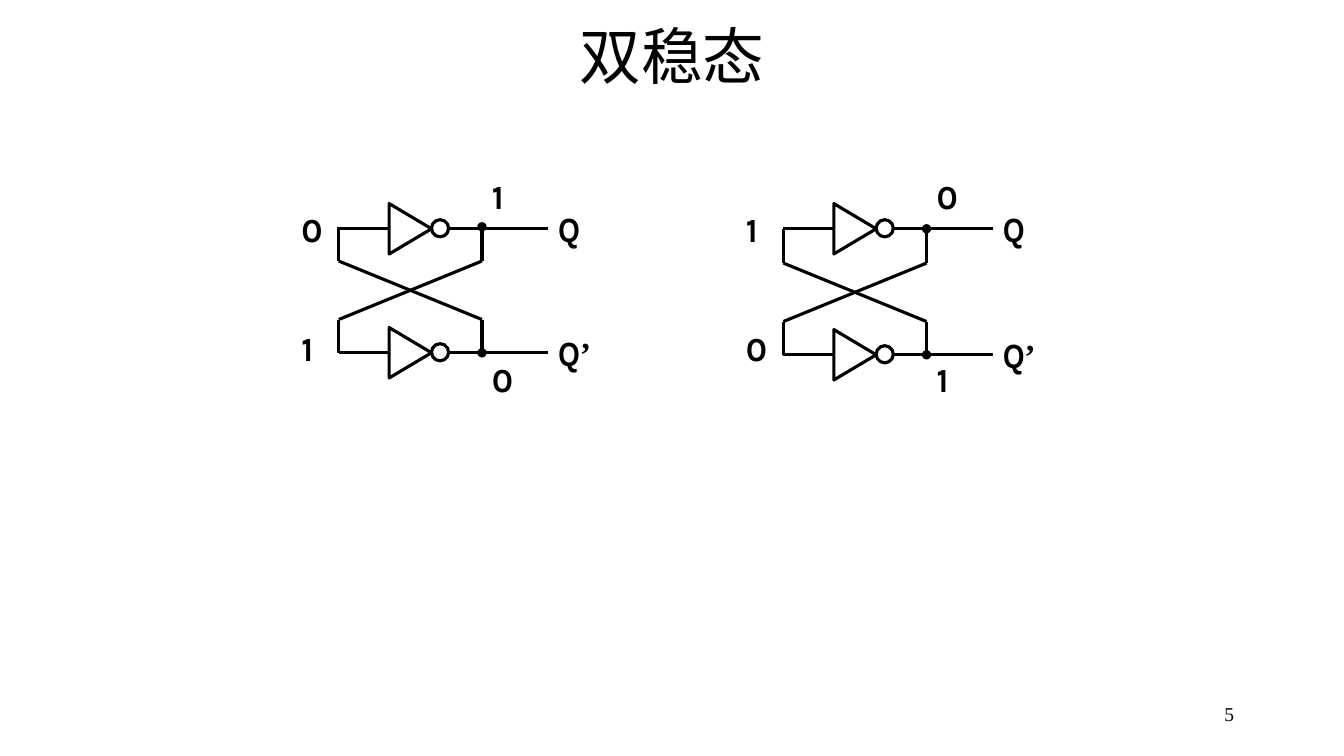
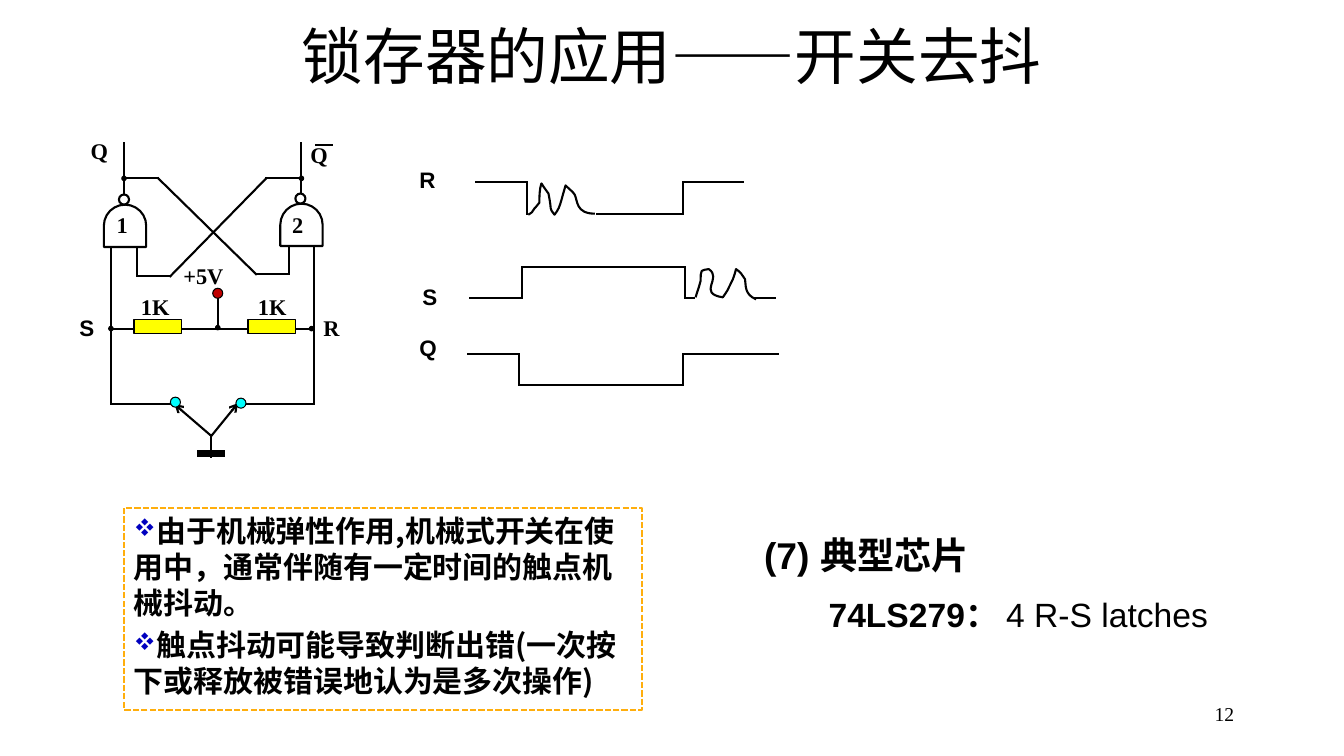
"""Builds two slides on bistable circuits and switch debouncing with latches."""
import itertools

import lxml.etree
import pptx
import pptx.dml.color
import pptx.enum.dml
import pptx.enum.shapes
import pptx.enum.text
import pptx.oxml.ns
import pptx.util

Inches = pptx.util.Inches
Pt = pptx.util.Pt
Color = pptx.dml.color.RGBColor.from_string
qn = pptx.oxml.ns.qn
Shape = pptx.enum.shapes.MSO_SHAPE
Align = pptx.enum.text.PP_ALIGN
AutoSize = pptx.enum.text.MSO_AUTO_SIZE

THEME = {
    "ink": "000000", "paper": "FFFFFF", "resistor": "FFFF00", "contact": "00FFFF",
    "supply": "C00000", "frame": "FFAE0D", "bullet": "0000BF",
    "cjk": "Noto Sans CJK SC", "serif": "Times New Roman", "sans": "Arial",
    "narrow": "Arial Narrow", "digit": "Karla",
    "title": 44, "state": 24, "chip": 26.6, "note": 21.4, "label": 16, "number": 14,
    "thick": {"weight": 2.25, "cap": "flat", "dot": "med"}, "thin": 1.5,
}
THICK = THEME["thick"]


def label(page, text, place, font="serif", size="label", bold=True, align=None,
          wrap=True, middle=False, gap=0, bullet=False):
    """Add a text box with one paragraph per line of text."""
    box = page.shapes.add_textbox(*map(Inches, place))
    frame = box.text_frame
    frame.word_wrap = wrap
    frame.auto_size = AutoSize.NONE if middle else AutoSize.SHAPE_TO_FIT_TEXT
    if middle:
        frame.vertical_anchor = pptx.enum.text.MSO_ANCHOR.MIDDLE
    for index, line in enumerate(text.split("\n")):
        para = frame.add_paragraph() if index else frame.paragraphs[0]
        para.add_run().text = line
        properties = para._p.get_or_add_pPr()
        if bullet:
            tint = lxml.etree.SubElement(properties, qn("a:buClr"))
            lxml.etree.SubElement(tint, qn("a:srgbClr"), val=THEME["bullet"])
            lxml.etree.SubElement(properties, qn("a:buSzPct"), val="82000")
            lxml.etree.SubElement(properties, qn("a:buFont"), typeface="Wingdings", charset="2")
            lxml.etree.SubElement(properties, qn("a:buChar"), char="v")
        para.alignment = align
        if index:
            para.space_before = Pt(gap)
        para.font.size = Pt(THEME[size])
        para.font.bold = bold
        para.font.color.rgb = Color(THEME["ink"])
        para.font.name = THEME[font]
        lxml.etree.SubElement(properties.find(qn("a:defRPr")), qn("a:ea"), typeface=THEME["cjk"])
    return box


def wire(page, points, head=None, tail=None, weight=THEME["thin"], cap="sq", dot="sm"):
    """Join the points with straight connectors and return the last one."""
    pairs = list(itertools.pairwise(points))
    for index, (start, end) in enumerate(pairs):
        line = page.shapes.add_connector(
            pptx.enum.shapes.MSO_CONNECTOR.STRAIGHT, *map(Inches, (*start, *end)))
        line.line.color.rgb = Color(THEME["ink"])
        line.line.width = Pt(weight)
        properties = line._element.spPr
        outline = properties.find(qn("a:ln"))
        outline.set("cap", cap)
        for tag, mark, position in (("a:headEnd", head, 0), ("a:tailEnd", tail, len(pairs) - 1)):
            if mark and index == position:
                extent = dot if mark == "oval" else "med"
                lxml.etree.SubElement(outline, qn(tag), type=mark, w=extent, len=extent)
        lxml.etree.SubElement(properties, qn("a:effectLst"))
    return line


deck = pptx.Presentation()
deck.slide_width = Inches(13.33)
deck.slide_height = Inches(7.5)

pages = []
for title, number in (("双稳态", "5"), ("锁存器的应用——开关去抖", "12")):
    page = deck.slides.add_slide(deck.slide_layouts[6])
    label(page, title, (1, 0.26, 11.33, 0.57), "cjk", "title", False, Align.CENTER, middle=True)
    label(page, number, (9.56, 6.83, 2.78, 0.5), "serif", "number", False, Align.RIGHT, middle=True)
    pages.append(page)
bistable, debounce = pages

symbols = []
latches = ((3.36, 2.25, 3.5, "0", "1"), (7.77, 2.27, 3.52, "1", "0"))
for left, tap, low, first, second in latches:
    right = left + 1.42
    for level, name in ((2.27, "Q"), (low, "Q’")):
        symbols += [
            (bistable, Shape.ISOSCELES_TRIANGLE, (left + 0.46, level - 0.21, 0.5, 0.42), 90,
             None, THICK["weight"]),
            (bistable, Shape.OVAL, (left + 0.92, level - 0.09, 0.17, 0.17), 0,
             None, THICK["weight"]),
        ]
        wire(bistable, [(left, level), (left + 0.5, level)], **THICK)
        output = label(bistable, "Q", (left + 2.08, level - 0.25, 0.41 if name == "Q" else 0.53, 0.5),
                       "narrow", "state", wrap=False)
        if name != "Q":
            prime = output.text_frame.paragraphs[0].add_run()
            prime.text = "’"
            prime.font.name = THEME["serif"]
        lead = wire(bistable, [(left + 1.08, level), (left + 2.08, level)], **THICK)
        lead.end_connect(output, 1)
    upper, lower = tap + 0.34, low - 0.33
    wire(bistable, [(right, tap), (right, upper), (left, lower), (left, low)], "oval", **THICK)
    wire(bistable, [(right, low), (right, lower), (left, upper), (left, tap)], "oval", **THICK)
    for state, x, y in ((first, left - 0.47, 2.02), (second, left - 0.47, 3.2),
                        (second, right, 1.7), (first, right, 3.51)):
        label(bistable, state, (x, y, 0.41, 0.5), "digit", "state", wrap=False)

circuit = (
    ([(1.1, 2.43), (1.1, 4.01), (1.69, 4.01)], None, None),
    ([(3.11, 2.43), (3.11, 4.01), (2.36, 4.01)], None, None),
    ([(1.36, 2.24), (1.36, 2.74), (1.69, 2.74), (2.64, 1.77), (2.99, 1.77)], None, "oval"),
    ([(1.23, 1.77), (1.57, 1.77), (2.54, 2.72), (2.87, 2.72), (2.87, 2.21)], "oval", None),
    ([(1.23, 1.92), (1.23, 1.42)], None, None),
    ([(2.99, 1.92), (2.99, 1.42)], None, None),
    ([(3.13, 1.44), (3.29, 1.44)], None, None),
    ([(2.16, 3.25), (2.16, 2.93)], "oval", None),
    ([(3.09, 3.26), (1.1, 3.26)], "oval", "oval"),
    ([(2.09, 4.32), (2.09, 4.53)], None, None),
    ([(2.1, 4.32), (2.36, 4)], None, "arrow"),
    ([(2.09, 4.32), (1.73, 4.01)], None, "arrow"),
)
signals = (
    [(4.72, 1.81), (5.23, 1.81), (5.23, 2.12)],
    [(5.92, 2.12), (6.77, 2.12), (6.77, 1.81), (7.37, 1.81)],
    [(4.66, 2.96), (5.18, 2.96), (5.18, 2.65), (6.54, 2.65)],
    [(6.28, 2.65), (6.79, 2.65), (6.79, 2.96), (6.88, 2.96)],
    [(7.48, 2.96), (7.69, 2.96)],
    [(4.64, 3.51), (5.15, 3.51), (5.15, 3.82), (6.52, 3.82)],
    [(6.26, 3.82), (6.77, 3.82), (6.77, 3.51), (7.72, 3.51)],
    [(6.69, 3.82), (6.77, 3.82)],
)
for points, head, tail in circuit:
    wire(debounce, points, head, tail)
for points in signals:
    wire(debounce, points)
wire(debounce, [(1.99, 4.5), (2.2, 4.5)], weight=4.5)

bounces = (
    ((5.24, 2.13), (
        (5.29, 2.1, 5.27, 2.11, 5.3, 2.07), (5.32, 2.05, 5.35, 2.01, 5.35, 2.01),
        (5.35, 1.95, 5.35, 1.88, 5.37, 1.82), (5.37, 1.81, 5.38, 1.84, 5.39, 1.85),
        (5.42, 1.88, 5.41, 1.89, 5.44, 1.92), (5.48, 2.11, 5.44, 2.05, 5.5, 2.13),
        (5.54, 2.08, 5.55, 2.05, 5.57, 1.98), (5.58, 1.94, 5.61, 1.84, 5.61, 1.84),
        (5.64, 1.87, 5.68, 1.9, 5.7, 1.93), (5.73, 1.99, 5.71, 2.12, 5.9, 2.12))),
    ((6.9, 2.95), (
        (6.91, 2.91, 6.93, 2.86, 6.94, 2.82), (6.96, 2.78, 6.94, 2.73, 6.96, 2.69),
        (6.97, 2.68, 7.01, 2.67, 7.03, 2.67), (7.17, 2.76, 6.91, 2.91, 7.17, 2.95),
        (7.23, 2.86, 7.2, 2.91, 7.25, 2.81), (7.28, 2.76, 7.3, 2.67, 7.3, 2.67),
        (7.35, 2.7, 7.36, 2.73, 7.39, 2.77), (7.4, 2.83, 7.38, 2.92, 7.5, 2.97))),
)
for start, curves in bounces:
    builder = debounce.shapes.build_freeform(*map(Inches, start))
    builder.add_line_segments([tuple(map(Inches, curve[4:])) for curve in curves], close=False)
    bounce = builder.convert_to_shape()
    segments = list(bounce._element.iter(qn("a:lnTo")))
    for segment, curve in zip(segments, curves):
        bend = lxml.etree.Element(qn("a:cubicBezTo"))
        for x, y in zip(curve[::2], curve[1::2]):
            lxml.etree.SubElement(bend, qn("a:pt"), x=str(Inches(x) - bounce.left),
                                  y=str(Inches(y) - bounce.top))
        segment.getparent().replace(segment, bend)
    bounce.shadow.inherit = False
    bounce.fill.background()
    bounce.line.color.rgb = Color(THEME["ink"])
    bounce.line.width = Pt(THEME["thin"])

for x, y in ((1.03, 2.03), (2.78, 2.02)):
    symbols += [
        (debounce, Shape.FLOWCHART_DELAY, (x, y, 0.42, 0.42), 270, "paper", THEME["thin"]),
        (debounce, Shape.OVAL, (x + 0.15, y - 0.1, 0.1, 0.1), 0, "paper", THEME["thin"]),
    ]
for x in (1.33, 2.46):
    symbols.append((debounce, Shape.RECTANGLE, (x, 3.17, 0.47, 0.14), 0, "resistor", 1))
for x, y, fill in ((1.69, 3.94, "contact"), (2.34, 3.95, "contact"), (2.11, 2.86, "supply")):
    symbols.append((debounce, Shape.OVAL, (x, y, 0.1, 0.1), 0, fill, 0.75))

for page, kind, place, turn, fill, weight in symbols:
    symbol = page.shapes.add_shape(kind, *map(Inches, place))
    symbol.shadow.inherit = False
    symbol.rotation = turn
    symbol.line.color.rgb = Color(THEME["ink"])
    symbol.line.width = Pt(weight)
    if fill:
        symbol.fill.solid()
        symbol.fill.fore_color.rgb = Color(THEME[fill])
    else:
        symbol.fill.background()

for text, x, y, width, font in (
    ("Q", 0.8, 1.31, 0.62, "serif"), ("Q", 2.98, 1.35, 0.59, "serif"),
    ("1", 1.06, 2.05, 0.56, "serif"), ("2", 2.8, 2.05, 0.56, "serif"),
    ("+5V", 1.72, 2.55, 0.69, "serif"),
    ("1K", 1.3, 2.86, 0.73, "serif"), ("1K", 2.46, 2.86, 0.73, "serif"),
    ("S", 0.69, 3.07, 0.57, "sans"), ("R", 3.11, 3.07, 0.54, "serif"),
    ("R", 4.06, 1.6, 0.52, "sans"), ("S", 4.09, 2.76, 0.52, "sans"),
    ("Q", 4.06, 3.27, 0.52, "sans"),
):
    label(debounce, text, (x, y, width, 0.37), font)

chip = label(debounce, "(7) 典型芯片\n74LS279：", (7.48, 5.23, 4.79, 1.15), "sans", "chip", gap=12)
model = chip.text_frame.paragraphs[1]
model._p.get_or_add_pPr().set("marL", str(Inches(0.64)))
model.font.size = Pt(THEME["state"])
detail = model.add_run()
detail.text = " 4 R-S latches"
detail.font.bold = False

note = label(
    debounce,
    "由于机械弹性作用,机械式开关在使用中，通常伴随有一定时间的触点机械抖动。\n"
    "触点抖动可能导致判断出错(一次按下或释放被错误地认为是多次操作)",
    (1.23, 5.04, 5.14, 2), "cjk", "note", gap=4.3, bullet=True)
note.text_frame.auto_size = AutoSize.NONE
note.line.color.rgb = Color(THEME["frame"])
note.line.width = Pt(THEME["thin"])
note.line.dash_style = pptx.enum.dml.MSO_LINE.SQUARE_DOT

deck.save("out.pptx")
